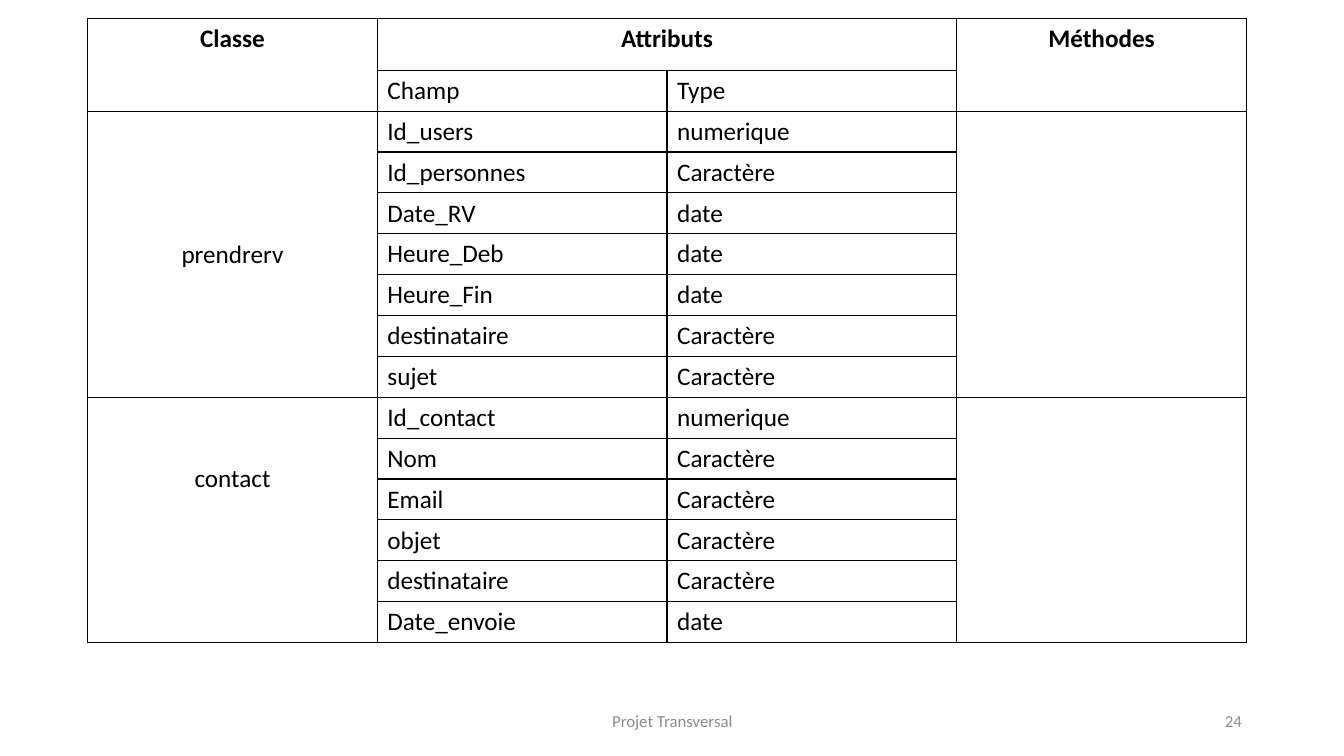
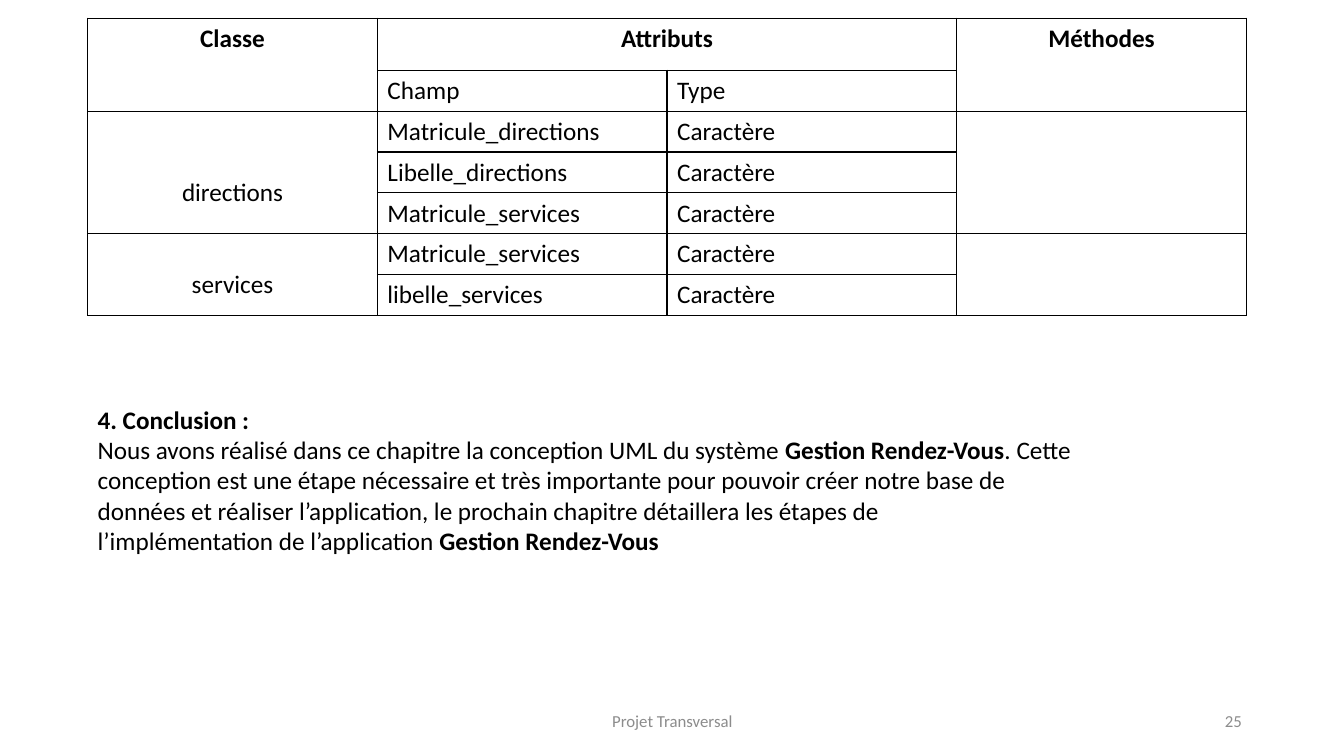
import pptx
import pptx.util
import pptx.dml.color
import pptx.enum.text
import pptx.oxml
import pptx.oxml.ns

Cm, Pt = pptx.util.Cm, pptx.util.Pt
ALIGN = pptx.enum.text.PP_ALIGN
MIDDLE = pptx.enum.text.MSO_ANCHOR.MIDDLE

COLOURS = {"ink": "000000", "paper": "FFFFFF", "muted": "8C8C8C"}
FONT = "Calibri"
LEFT, WIDTH = 2.21, 29.2
HEAD, ROW, LINE = 1.31, 1.03, 0.775
PAD = 0.13

BOOKING = [
    ("prendrerv", 4, [
        ("Id_users", "numerique"),
        ("Id_personnes", "Caractère"),
        ("Date_RV", "date"),
        ("Heure_Deb", "date"),
        ("Heure_Fin", "date"),
        ("destinataire", "Caractère"),
        ("sujet", "Caractère"),
    ]),
    ("contact", 2, [
        ("Id_contact", "numerique"),
        ("Nom", "Caractère"),
        ("Email", "Caractère"),
        ("objet", "Caractère"),
        ("destinataire", "Caractère"),
        ("Date_envoie", "date"),
    ]),
]
OFFICE = [
    ("directions", 2, [
        ("Matricule_directions", "Caractère"),
        ("Libelle_directions", "Caractère"),
        ("Matricule_services", "Caractère"),
    ]),
    ("services", 1, [
        ("Matricule_services", "Caractère"),
        ("libelle_services", "Caractère"),
    ]),
]
CLOSING = [
    ("Nous avons réalisé dans ce chapitre la conception UML du système ", False),
    ("Gestion Rendez-Vous", True),
    (". Cette\nconception est une étape nécessaire et très importante pour pouvoir "
     "créer notre base de\ndonnées et réaliser l’application, le prochain chapitre "
     "détaillera les étapes de\nl’implémentation de l’application ", False),
    ("Gestion Rendez-Vous", True),
]


class Deck:
    def __init__(self):
        self.prs = pptx.Presentation()
        self.prs.slide_width, self.prs.slide_height = Cm(33.87), Cm(19.05)
        self.slide = None

    def page(self, number):
        """Start a slide with its footer and number."""
        self.slide = self.prs.slides.add_slide(self.prs.slide_layouts[6])
        self.foot("Projet Transversal", 11.23, 11.43, ALIGN.CENTER)
        self.foot(str(number), 23.93, 7.62, ALIGN.RIGHT)

    def style(self, para, size=18, colour="ink", bold=None, align=None):
        font = para.font
        font.name, font.size, font.bold = FONT, Pt(size), bold
        font.color.rgb = pptx.dml.color.RGBColor.from_string(COLOURS[colour])
        para.alignment = align

    def box(self, left, top, width, height):
        shape = self.slide.shapes.add_textbox(Cm(left), Cm(top), Cm(width), Cm(height))
        shape.text_frame.word_wrap = True
        return shape.text_frame

    def foot(self, text, left, width, align):
        frame = self.box(left, 17.65, width, 1.02)
        frame.vertical_anchor = MIDDLE
        frame.text = text
        self.style(frame.paragraphs[0], 12, "muted", align=align)

    def prose(self, title, parts, top, height):
        """Write a bold heading and a paragraph of (text, bold) parts."""
        frame = self.box(LEFT, top, WIDTH, height)
        frame.text = title
        self.style(frame.paragraphs[0], bold=True)
        para = frame.add_paragraph()
        self.style(para)
        for text, bold in parts:
            for i, line in enumerate(text.split("\n")):
                if i:
                    para.add_line_break()
                run = para.add_run()
                run.text, run.font.bold = line, bold

    def frame(self, cell):
        """Give a cell a plain fill and thin borders."""
        cell.fill.solid()
        cell.fill.fore_color.rgb = pptx.dml.color.RGBColor.from_string(COLOURS["paper"])
        props = cell._tc.get_or_add_tcPr()
        for i, side in enumerate("LRTB"):
            props.insert(i, pptx.oxml.parse_xml(
                f'<a:ln{side} {pptx.oxml.ns.nsdecls("a")} w="{Pt(1)}"><a:solidFill>'
                f'<a:srgbClr val="{COLOURS["ink"]}"/></a:solidFill></a:ln{side}>'))

    def put(self, cell, text, bold=False, align=None, drop=0):
        """Write in a cell, dropped by a number of text lines."""
        cell.text = text
        cell.margin_top = Cm(PAD + drop * LINE)
        self.style(cell.text_frame.paragraphs[0], bold=bold, align=align)

    def table(self, groups):
        """Draw classes, each a (name, drop, fields) group."""
        count = 2 + sum(len(fields) for _, _, fields in groups)
        grid = self.slide.shapes.add_table(
            count, 4, Cm(LEFT), Cm(0.46), Cm(WIDTH), Cm(HEAD + (count - 1) * ROW)).table
        grid.first_row = grid.horz_banding = False
        for col in grid.columns:
            col.width = Cm(WIDTH / 4)
        for i, row in enumerate(grid.rows):
            row.height = Cm(ROW if i else HEAD)
        for cell in grid.iter_cells():
            self.frame(cell)

        for col, text in ((0, "Classe"), (1, "Attributs"), (3, "Méthodes")):
            end = (0, 2) if col == 1 else (1, col)
            grid.cell(0, col).merge(grid.cell(*end))
            self.put(grid.cell(0, col), text, True, ALIGN.CENTER)
        self.pair(grid, 1, ("Champ", "Type"))

        top = 2
        for name, drop, fields in groups:
            for col in (0, 3):
                grid.cell(top, col).merge(grid.cell(top + len(fields) - 1, col))
            self.put(grid.cell(top, 0), name, align=ALIGN.CENTER, drop=drop)
            for row, field in enumerate(fields, top):
                self.pair(grid, row, field)
            top += len(fields)

    def pair(self, grid, row, texts):
        for col, text in enumerate(texts, 1):
            self.put(grid.cell(row, col), text)


def main():
    deck = Deck()
    deck.page(24)
    deck.table(BOOKING)
    deck.page(25)
    deck.table(OFFICE)
    deck.prose("4. Conclusion :", CLOSING, 10.06, 4.11)
    deck.prs.save("out.pptx")


if __name__ == "__main__":
    main()
